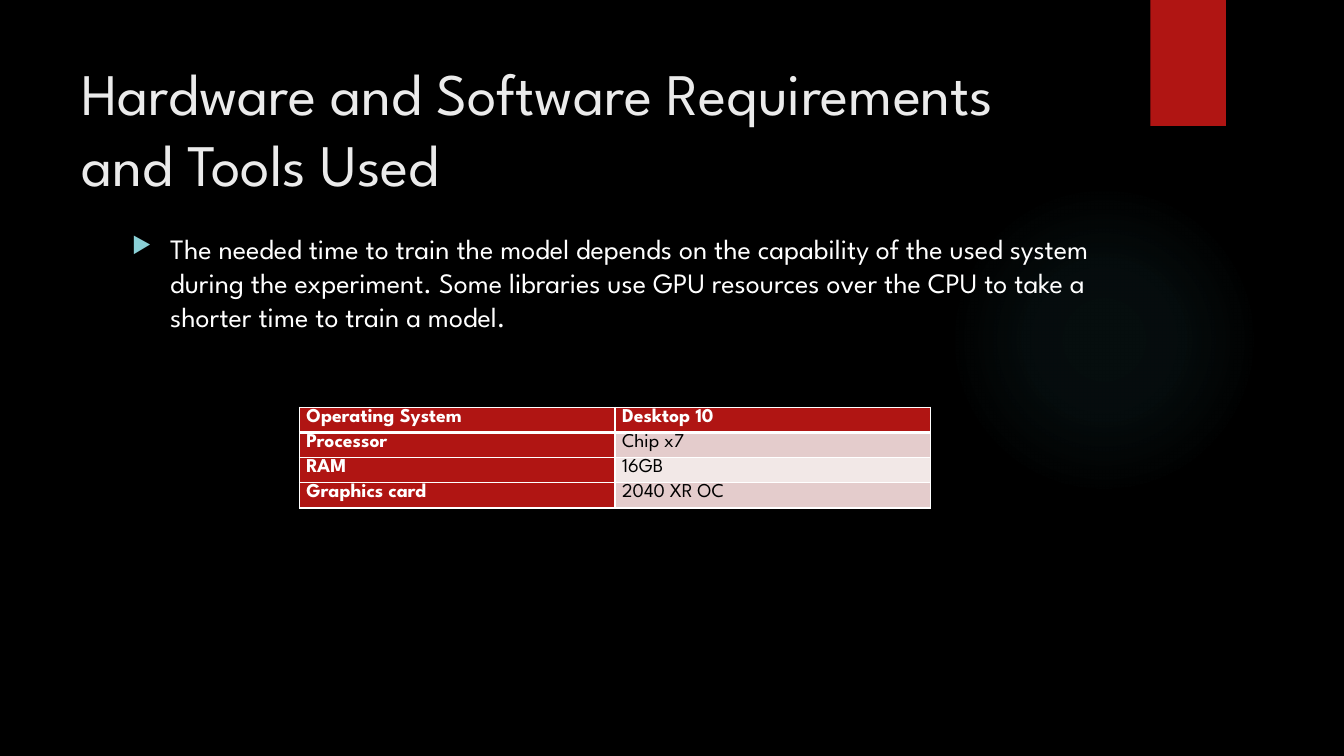
from lxml import etree
from pptx import Presentation
from pptx.dml.color import RGBColor
from pptx.enum.shapes import MSO_SHAPE
from pptx.enum.text import MSO_ANCHOR
from pptx.oxml import parse_xml
from pptx.oxml.ns import nsdecls, qn
from pptx.util import Inches, Pt

OVAL, RECT = MSO_SHAPE.OVAL, MSO_SHAPE.RECTANGLE
TOP, MIDDLE = MSO_ANCHOR.TOP, MSO_ANCHOR.MIDDLE
FONT = "League Spartan"
RED, WHITE, BLACK = "B01513", "FFFFFF", "000000"
BANDS = ["E4CCCC", "F2E8E7"]


def color(code):
    return RGBColor.from_string(code)


def write(frame, text, size=14, ink=WHITE, bold=False, gap=0, lead=None):
    """Put one formatted paragraph in the frame and return it."""
    para = frame.paragraphs[0]
    para.space_before = Pt(gap)
    if lead:
        para.line_spacing = lead
    run = para.add_run()
    run.text = text
    font = run.font
    font.name, font.size, font.bold = FONT, Pt(size), bold
    font.color.rgb = color(ink)
    return para


class Deck:
    def __init__(self):
        self.prs = Presentation()
        self.prs.slide_width = Inches(13.33)
        self.prs.slide_height = Inches(7.5)
        self.slide = self.prs.slides.add_slide(self.prs.slide_layouts[6])
        fill = self.slide.background.fill
        fill.solid()
        fill.fore_color.rgb = color(BLACK)

    def shape(self, kind, box, fill):
        item = self.slide.shapes.add_shape(kind, *map(Inches, box))
        item.shadow.inherit = False
        item.fill.solid()
        item.fill.fore_color.rgb = color(fill)
        item.line.fill.background()
        return item

    def glow(self, box, tint, stops):
        """Add a circle that fades out by (position, opacity) percents."""
        props = self.shape(OVAL, box, tint)._element.spPr
        marks = "".join(
            f'<a:gs pos="{pos * 1000}"><a:srgbClr val="{tint}">'
            f'<a:alpha val="{alpha * 1000}"/></a:srgbClr></a:gs>'
            for pos, alpha in stops)
        grad = parse_xml(
            f'<a:gradFill {nsdecls("a")}><a:gsLst>{marks}</a:gsLst>'
            '<a:path path="circle"><a:fillToRect l="50000" t="50000" '
            'r="50000" b="50000"/></a:path></a:gradFill>')
        props.replace(props.find(qn("a:solidFill")), grad)

    def text(self, box, words, anchor=TOP, **style):
        frame = self.slide.shapes.add_textbox(*map(Inches, box)).text_frame
        frame.word_wrap = True
        frame.vertical_anchor = anchor
        return write(frame, words, **style)

    def bullet(self, para, mark, tint, indent):
        props = para._p.get_or_add_pPr()
        props.set("marL", str(Inches(indent)))
        props.set("indent", str(-Inches(indent)))
        hue = etree.SubElement(props, qn("a:buClr"))
        etree.SubElement(hue, qn("a:srgbClr"), val=tint)
        etree.SubElement(props, qn("a:buSzPct"), val="80000")
        etree.SubElement(props, qn("a:buChar"), char=mark)

    def border(self, cell, **widths):
        props = cell._tc.get_or_add_tcPr()
        for spot, side in enumerate("LRTB"):
            line = parse_xml(
                f'<a:ln{side} {nsdecls("a")} w="{Pt(widths.get(side, 1))}">'
                f'<a:solidFill><a:srgbClr val="{WHITE}"/></a:solidFill>'
                f'</a:ln{side}>')
            props.insert(spot, line)

    def table(self, box, rows):
        """Add a table with a red head row and red first column."""
        grid = self.slide.shapes.add_table(
            len(rows), len(rows[0]), *map(Inches, box)).table
        for r, row in enumerate(rows):
            for c, words in enumerate(row):
                cell = grid.cell(r, c)
                head = r == 0 or c == 0
                cell.margin_left = cell.margin_right = Inches(0.07)
                cell.margin_top = cell.margin_bottom = 0
                cell.fill.solid()
                cell.fill.fore_color.rgb = color(
                    RED if head else BANDS[(r - 1) % 2])
                write(cell.text_frame, words, bold=head, lead=1.07,
                      ink=WHITE if head else BLACK)
                self.border(cell, T=3 if r == 1 else 1, B=3 if r == 0 else 1)


def main():
    deck = Deck()
    deck.glow((9.41, 1.83, 3.08, 3.08), "50B9C1", [(0, 7), (36, 6), (69, 0)])
    deck.shape(RECT, (11.41, 0, 0.75, 1.25), RED)
    deck.text((0.71, 0.5, 10.29, 1.53),
              "Hardware and Software Requirements and Tools Used",
              anchor=MIDDLE, size=42, ink="EBEBEB")
    para = deck.text(
        (1.21, 2.25, 9.78, 4.59),
        "The needed time to train the model depends on the capability of the "
        "used system during the experiment. Some libraries use GPU resources "
        "over the CPU to take a shorter time to train a model.",
        size=20, gap=10)
    deck.bullet(para, "▶", "8AD0D6", 0.38)
    deck.table((2.97, 4.04, 6.26, 0.77), [
        ("Operating System", "Desktop 10"),
        ("Processor", "Chip x7"),
        ("RAM", "16GB"),
        ("Graphics card", "2040 XR OC"),
    ])
    deck.prs.save("out.pptx")


if __name__ == "__main__":
    main()
